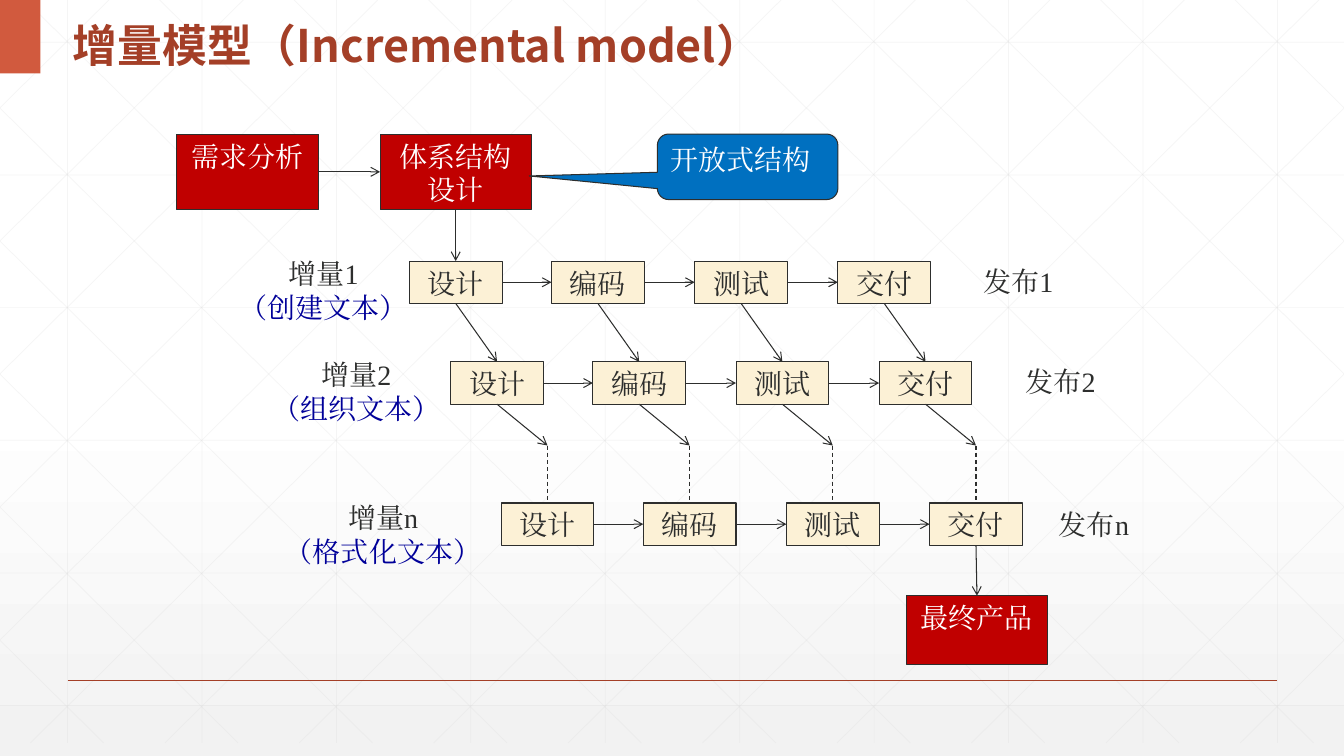
from lxml import etree
from pptx import Presentation
from pptx.dml.color import RGBColor
from pptx.enum.dml import MSO_LINE
from pptx.enum.shapes import MSO_CONNECTOR, MSO_SHAPE
from pptx.enum.text import MSO_ANCHOR, MSO_AUTO_SIZE, PP_ALIGN
from pptx.oxml.ns import qn
from pptx.util import Pt

PX = 9144  # 100 px to the inch
WIDTH, HEIGHT = 1333, 750
GRID_HEIGHT = 737
STRAIGHT = MSO_CONNECTOR.STRAIGHT
RECTANGLE = MSO_SHAPE.RECTANGLE
CALLOUT = MSO_SHAPE.ROUNDED_RECTANGULAR_CALLOUT
DASH = MSO_LINE.DASH
TOP, MIDDLE = MSO_ANCHOR.TOP, MSO_ANCHOR.MIDDLE
LEFT, CENTER = PP_ALIGN.LEFT, PP_ALIGN.CENTER
NO_FIT = MSO_AUTO_SIZE.NONE
SITE_TOP, SITE_LEFT, SITE_BOTTOM, SITE_RIGHT = range(4)

INK, WHITE, RED, CREAM = "2D2E2D", "FFFFFF", "C00000", "FCF1D6"
BLUE, NAVY, RUST, ORANGE, GRAY = "0070C0", "000099", "A43F27", "D15A3E", "D9D9D9"
HEADING_FONT, BODY_FONT = "Noto Sans CJK SC", "Times New Roman"
STEPS = ["设计", "编码", "测试", "交付"]


def color(value):
    return RGBColor.from_string(value)


def emu(*lengths):
    return [round(length * PX) for length in lengths]


def write(para, text, ink=INK, size=20, font=BODY_FONT, bold=False, align=CENTER):
    para.alignment = align
    run = para.add_run()
    run.text = text
    run.font.size, run.font.name, run.font.bold = Pt(size), font, bold
    run.font.color.rgb = color(ink)
    etree.SubElement(run.font._element, qn("a:ea"), typeface=font)


def add_box(page, box, fill, text="", ink=INK, kind=RECTANGLE, outline=INK, align=CENTER):
    shape = page.shapes.add_shape(kind, *emu(*box))
    shape.shadow.inherit = False
    shape.fill.solid()
    shape.fill.fore_color.rgb = color(fill)
    if outline:
        shape.line.color.rgb = color(outline)
        shape.line.width = Pt(0.75)
    else:
        shape.line.fill.background()
    if text:
        shape.text_frame.word_wrap = True
        shape.text_frame.vertical_anchor = TOP
        write(shape.text_frame.paragraphs[0], text, ink, align=align)
    return shape


def add_label(page, box, lines):
    frame = page.shapes.add_textbox(*emu(*box)).text_frame
    frame.word_wrap = True
    for index, (text, ink) in enumerate(lines):
        para = frame.add_paragraph() if index else frame.paragraphs[0]
        write(para, text, ink)


def add_line(page, start=(0, 0), end=(0, 0), ink=INK, width=0.75, arrow=False):
    line = page.shapes.add_connector(STRAIGHT, *emu(*start, *end))
    line.line.color.rgb = color(ink)
    line.line.width = Pt(width)
    etree.SubElement(line._element.spPr, qn("a:effectLst"))
    if arrow:
        etree.SubElement(line.line._get_or_add_ln(), qn("a:tailEnd"), type="arrow")
    return line


def link(page, source, source_site, target, target_site):
    line = add_line(page, arrow=True)
    line.begin_connect(source, source_site)
    line.end_connect(target, target_site)


def draw_grid(page):
    """Faint upright, level and mirrored diagonal lines."""
    lines = [((67 + 400 * i / 3, 0), (67 + 400 * i / 3, GRID_HEIGHT)) for i in range(10)]
    lines += [((0, 42 + 131.6 * i), (WIDTH, 42 + 131.6 * i)) for i in range(6)]
    slope = 0.99
    for i in range(-5, 10):
        foot = 25 + 400 * i / 3
        first = max(foot, 0)
        last = min(foot + GRID_HEIGHT / slope, WIDTH)
        rise, fall = (first - foot) * slope, (last - foot) * slope
        lines.append(((first, rise), (last, fall)))
        lines.append(((WIDTH - first, rise), (WIDTH - last, fall)))
    for start, end in lines:
        line = add_line(page, start, end, GRAY, 0.5)
        tint = line._element.spPr.find(".//" + qn("a:srgbClr"))
        etree.SubElement(tint, qn("a:alpha"), val="25000")


def draw_backdrop(page):
    fill = page.background.fill
    fill.gradient()
    fill.gradient_angle = 270
    for stop, position, tint in zip(fill.gradient_stops, (0.53, 1), (WHITE, "F2F2F2")):
        stop.position = position
        stop.color.rgb = color(tint)
    draw_grid(page)
    add_line(page, (67, 675), (1267, 675), RUST, 1)
    add_box(page, (0, 0, 40, 73), ORANGE, outline=None)


def draw_title(page, box):
    title = page.shapes.title
    title.left, title.top, title.width, title.height = emu(*box)
    frame = title.text_frame
    frame.auto_size = NO_FIT
    frame.word_wrap = True
    frame.vertical_anchor = MIDDLE
    para = frame.paragraphs[0]
    para.line_spacing = 1.3
    write(para, "增量模型（Incremental model）", RUST, 32, HEADING_FONT, True, LEFT)
    # Bring the title in front of the grid
    page.shapes._spTree.append(title._element)


def draw_opening(page, left, top):
    """Analysis, architecture and its callout; returns the architecture box."""
    analysis = add_box(page, (left, top, 141, 75), RED, "需求分析", WHITE)
    architecture = add_box(page, (left + 202, top, 150, 75), RED, "体系结构设计", WHITE)
    link(page, analysis, SITE_RIGHT, architecture, SITE_LEFT)
    callout = add_box(page, (left + 477, top, 179, 65), BLUE, "开放式结构", WHITE,
                      CALLOUT, align=LEFT)
    for index, value in enumerate((-1.21, 0.14, 0.17)):
        callout.adjustments[index] = value
    return architecture


def draw_increment(page, left, top, number, detail, label_box, release):
    """One row of four steps with its label and release; returns the step boxes."""
    boxes = [add_box(page, (left + 425 * i // 3, top, 92, 42), CREAM, step)
             for i, step in enumerate(STEPS)]
    for source, target in zip(boxes, boxes[1:]):
        link(page, source, SITE_RIGHT, target, SITE_LEFT)
    add_label(page, label_box, [("增量" + number, INK), (detail, NAVY)])
    add_label(page, (*release, 92, 60), [("发布" + number, INK)])
    return boxes


def draw_elision(page, upper, lower, bend):
    """Arrow to the bend, then a dashed drop to the last row."""
    for source, target in zip(upper, lower):
        middle = (target.left + target.width / 2) / PX
        arrow = add_line(page, end=(middle, bend), arrow=True)
        arrow.begin_connect(source, SITE_BOTTOM)
        drop = add_line(page, (middle, bend))
        drop.line.dash_style = DASH
        drop.end_connect(target, SITE_TOP)


def draw_model(page):
    architecture = draw_opening(page, 175, 133)
    first = draw_increment(page, 406, 259, "1", "（创建文本）", (220, 250, 202, 72), (964, 257))
    second = draw_increment(page, 447, 359, "2", "（组织文本）", (256, 350, 195, 83), (1006, 357))
    last = draw_increment(page, 497, 499, "n", "（格式化文本）", (267, 492, 226, 66), (1039, 499))
    link(page, architecture, SITE_BOTTOM, first[0], SITE_TOP)
    for source, target in zip(first, second):
        link(page, source, SITE_BOTTOM, target, SITE_TOP)
    draw_elision(page, second, last, 442)
    product = add_box(page, (899, 591, 140, 68), RED, "最终产品", WHITE)
    link(page, last[-1], SITE_BOTTOM, product, SITE_TOP)


def main():
    deck = Presentation()
    deck.slide_width, deck.slide_height = emu(WIDTH, HEIGHT)
    page = deck.slides.add_slide(deck.slide_layouts[5])
    draw_backdrop(page)
    draw_title(page, (62, 0, 891, 73))
    draw_model(page)
    deck.save("out.pptx")


if __name__ == "__main__":
    main()
